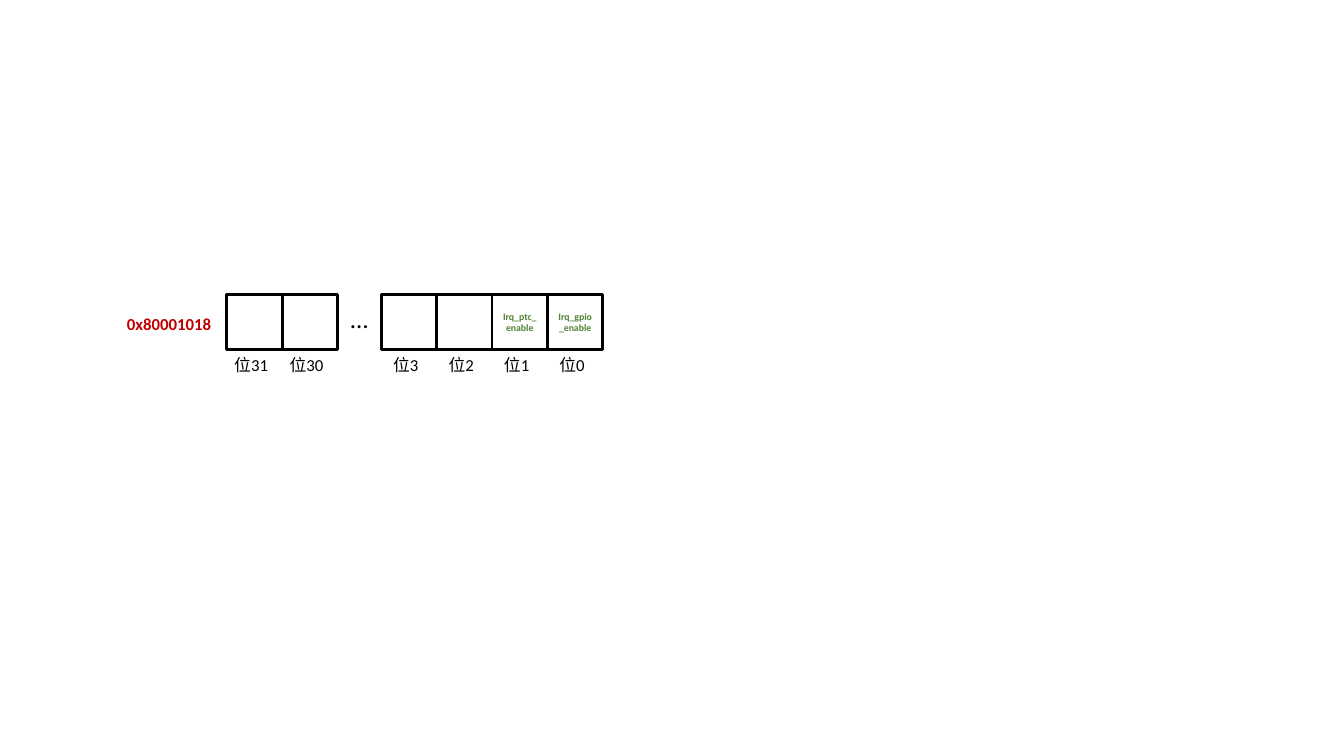
from pptx import Presentation
from pptx import util as u
from pptx.dml.color import RGBColor
from pptx.enum import shapes, text

SLIDE_W, SLIDE_H = 13.33, 7.5
CELL = 0.55                     # side of one bit cell
ROW_TOP = 2.92
HIGH_LEFT, LOW_LEFT = 2.25, 3.78
BLACK, RED, GREEN = "000000", "C00000", "548235"

# Bits from left to right, with the field name each one holds
HIGH_BITS = [(31, ""), (30, "")]
LOW_BITS = [(3, ""), (2, ""), (1, "Irq_ptc_enable"), (0, "Irq_gpio_enable")]


def color(code):
    return RGBColor.from_string(code)


def write(frame, words, size=12, ink=BLACK, bold=False, wrap=False,
          align=text.PP_ALIGN.LEFT, anchor=text.MSO_ANCHOR.TOP):
    frame.word_wrap = wrap
    frame.vertical_anchor = anchor
    line = frame.paragraphs[0]
    line.alignment = align
    run = line.add_run()
    run.text = words
    run.font.name = "Calibri"
    run.font.size = u.Pt(size)
    run.font.bold = bold
    run.font.color.rgb = color(ink)


def add_label(register, words, left, top, width, height=0.3, **style):
    label = register.shapes.add_textbox(*map(u.Inches, (left, top, width, height)))
    write(label.text_frame, words, **style)
    label.text_frame.auto_size = text.MSO_AUTO_SIZE.SHAPE_TO_FIT_TEXT


def add_cell(register, left, field):
    cell = register.shapes.add_shape(
        shapes.MSO_SHAPE.RECTANGLE, *map(u.Inches, (left, ROW_TOP, CELL, CELL)))
    cell.shadow.inherit = False
    cell.fill.background()
    cell.line.color.rgb = color(BLACK)
    cell.line.width = u.Pt(2)
    if field:
        write(cell.text_frame, field, size=7, ink=GREEN, bold=True, wrap=True,
              align=text.PP_ALIGN.CENTER, anchor=text.MSO_ANCHOR.MIDDLE)


def add_bits(register, bits, left):
    for column, (number, field) in enumerate(bits):
        cell_left = left + column * CELL
        add_cell(register, cell_left, field)
        # Bit number centred below its cell
        width = 0.6 if number > 9 else 0.51
        add_label(register, f"位{number}", cell_left + (CELL - width) / 2,
                  ROW_TOP + CELL, width)


def main():
    deck = Presentation()
    deck.slide_width, deck.slide_height = u.Inches(SLIDE_W), u.Inches(SLIDE_H)
    slide = deck.slides.add_slide(deck.slide_layouts[6])
    register = slide.shapes.add_group_shape()

    # Register address
    add_label(register, "0x80001018", 1.16, 3.06, 1.05, ink=RED, bold=True)

    # High bits, gap, low bits
    add_bits(register, HIGH_BITS, HIGH_LEFT)
    add_label(register, "…", 3.38, 2.96, 0.38, 0.4, size=18)
    add_bits(register, LOW_BITS, LOW_LEFT)

    deck.save("out.pptx")


if __name__ == "__main__":
    main()
